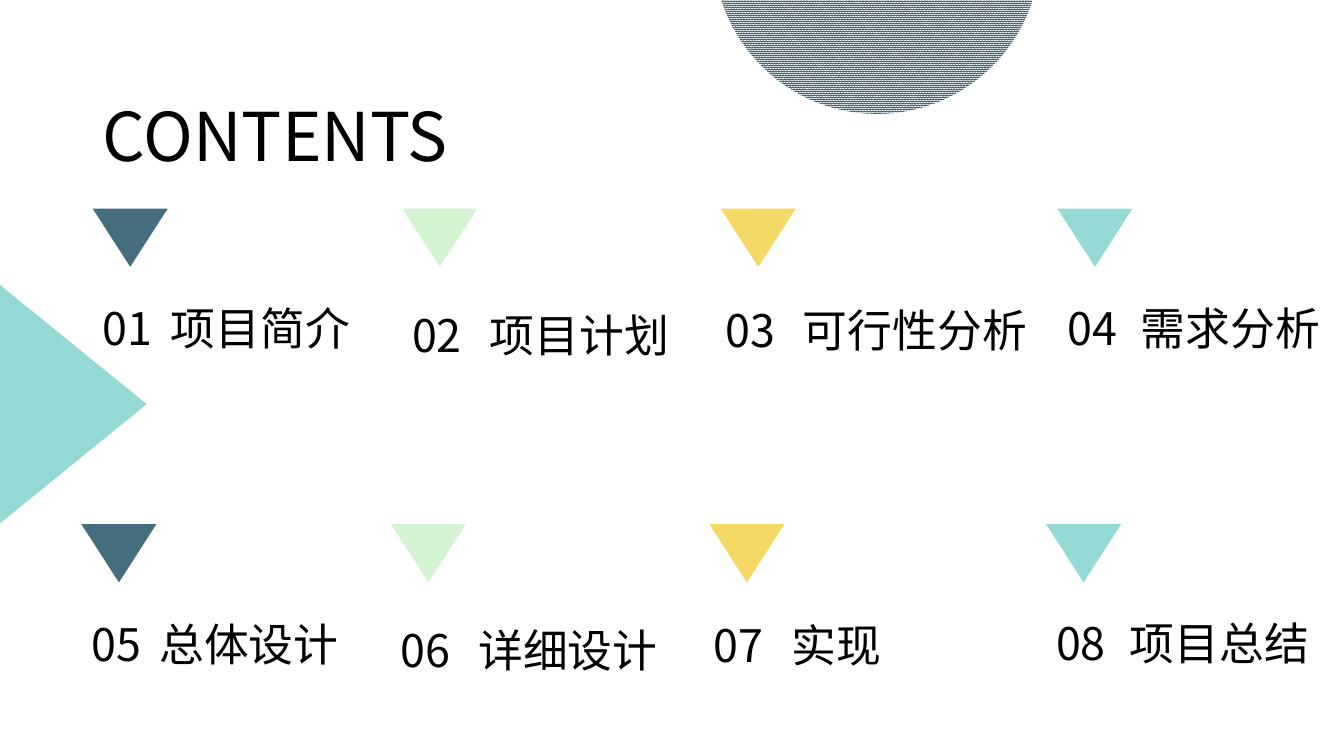
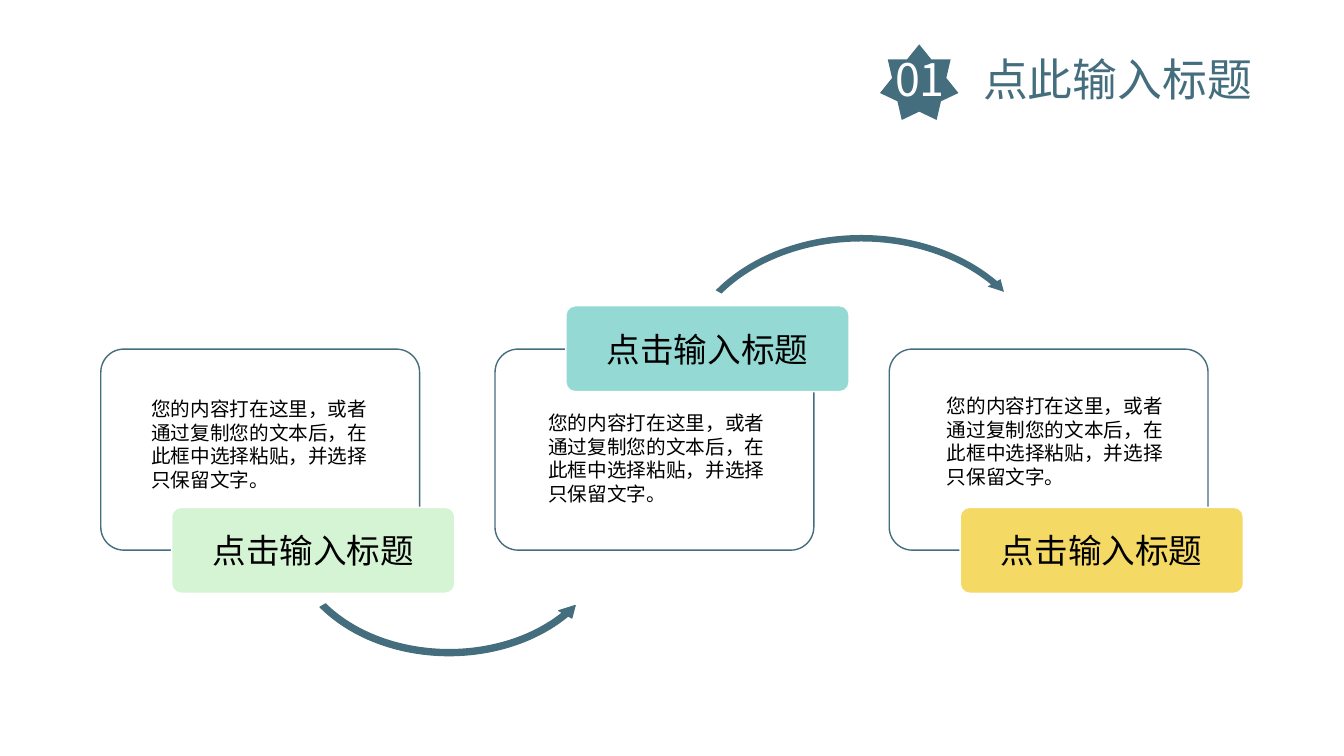
from lxml.etree import SubElement
from pptx import Presentation
from pptx.dml.color import RGBColor
from pptx.enum.dml import MSO_PATTERN
from pptx.enum.shapes import MSO_SHAPE
from pptx.enum.text import MSO_ANCHOR as Anchor, PP_ALIGN as Align
from pptx.oxml.ns import qn
from pptx.util import Pt

FONT = "Noto Sans CJK SC"
BLACK, WHITE = "000000", "FFFFFF"
SLATE, MINT, YELLOW, TEAL = "446E7E", "D5F4D3", "F4D964", "94D9D4"
TITLE_ONLY = 5

COLUMNS = [
    (66.2, SLATE, 0, 62.5, 48.6),
    (287.3, MINT, 0, 67, 55.4),
    (511, YELLOW, 3.8, 63.4, 55.4),
    (755.3, TEAL, 0, 62, 52.6),
]
TOPICS = [
    ["项目简介", "项目计划", "可行性分析", "需求分析"],
    ["总体设计", "详细设计", "实现", "项目总结"],
]
FIRST_ROW_TOP, ROW_STEP, ROW_SHIFT = 149, 225.4, -8.1

CARD_LEFT, CARD_TOP, CARD_STEP = 72, 249.4, 281.6
CARD_WIDTH, CARD_HEIGHT = 227.7, 143.6
BODY = "您的内容打在这里，或者通过复制您的文本后，在此框中选择粘贴，并选择只保留文字。"
CARDS = [
    (MINT, 113, 29, 30.7),
    (TEAL, -31, 31, 40.8),
    (YELLOW, 113, 34, 28.5),
]


def rgb(value):
    return RGBColor.from_string(value)


def points(*lengths):
    return [Pt(length) for length in lengths]


def write(frame, text, size, color=BLACK, align=Align.LEFT, anchor=Anchor.TOP):
    frame.word_wrap = True
    frame.vertical_anchor = anchor
    paragraph = frame.paragraphs[0]
    paragraph.text = text
    paragraph.alignment = align
    font = paragraph.font
    font.name, font.size, font.color.rgb = FONT, Pt(size), rgb(color)
    SubElement(font._rPr, qn("a:ea"), typeface=FONT)


def add_text(slide, box, text, size, color=BLACK):
    write(slide.shapes.add_textbox(*points(*box)).text_frame, text, size, color)


def add_figure(slide, kind, box, fill, line=None, weight=1, rotation=0, adjust=()):
    figure = slide.shapes.add_shape(kind, *points(*box))
    figure.shadow.inherit = False
    figure.rotation = rotation
    figure.fill.solid()
    figure.fill.fore_color.rgb = rgb(fill)
    if line:
        figure.line.color.rgb = rgb(line)
        figure.line.width = Pt(weight)
    else:
        figure.line.fill.background()
    for index, value in enumerate(adjust):
        figure.adjustments[index] = value
    return figure


def add_titled_slide(deck, box, text, size, color=BLACK):
    slide = deck.slides.add_slide(deck.slide_layouts[TITLE_ONLY])
    title = slide.shapes.title
    title.left, title.top, title.width, title.height = points(*box)
    write(title.text_frame, text, size, color)
    return slide


def add_topic(slide, left, top, number, topic, column):
    _, color, marker_dx, text_dy, topic_dx = column
    add_figure(slide, MSO_SHAPE.ISOSCELES_TRIANGLE,
               (left + marker_dx, top, 53.6, 41.6), color, rotation=180)
    add_text(slide, (left, top + text_dy, 60, 46), f"{number:02}", 32)
    add_text(slide, (left + topic_dx, top + text_dy, 181, 46), topic, 32)


def add_card(slide, left, top, label_color, label_dy, body_dx, body_dy):
    panel = add_figure(slide, MSO_SHAPE.ROUNDED_RECTANGLE,
                       (left, top, CARD_WIDTH, CARD_HEIGHT), WHITE, SLATE, adjust=[0.115])
    tint = panel.fill._xPr.find(qn("a:solidFill"))[0]
    SubElement(tint, qn("a:alpha"), val="90000")
    label = add_figure(slide, MSO_SHAPE.ROUNDED_RECTANGLE,
                       (left + 50.6, top + label_dy, 202.4, 61.4),
                       label_color, WHITE, adjust=[0.11])
    write(label.text_frame, "点击输入标题", 24, align=Align.CENTER, anchor=Anchor.MIDDLE)
    add_text(slide, (left + body_dx, top + body_dy, 177, 75), BODY, 14)


def build_contents(deck):
    slide = add_titled_slide(deck, (66.2, 63.4, 283, 65.5), "CONTENTS", 48)
    disc = add_figure(slide, MSO_SHAPE.OVAL, (509.8, -152, 233.3, 233.3), SLATE)
    disc.fill.patterned()
    disc.fill.pattern = MSO_PATTERN.PERCENT_90
    disc.fill.fore_color.rgb = rgb(SLATE)
    disc.fill.back_color.rgb = rgb(WHITE)
    add_figure(slide, MSO_SHAPE.ISOSCELES_TRIANGLE, (-33, 236.2, 170.6, 105), TEAL, rotation=90)
    for row, topics in enumerate(TOPICS):
        for index, (topic, column) in enumerate(zip(topics, COLUMNS)):
            add_topic(slide, column[0] + row * ROW_SHIFT, FIRST_ROW_TOP + row * ROW_STEP,
                      row * len(COLUMNS) + index + 1, topic, column)


def build_steps(deck):
    slide = add_titled_slide(deck, (695, 33.1, 215, 46), "点此输入标题", 32, SLATE)
    add_figure(slide, MSO_SHAPE.STAR_7_POINT, (628.6, 31.7, 56, 54), SLATE)
    add_text(slide, (632.2, 33.1, 60, 46), "01", 32, WHITE)
    for index, card in enumerate(CARDS):
        add_card(slide, CARD_LEFT + index * CARD_STEP, CARD_TOP, *card)
    add_figure(slide, MSO_SHAPE.LEFT_CIRCULAR_ARROW, (202.3, 290.9, 236.9, 180.7), SLATE,
               SLATE, 0.75, adjust=[0.025, 3.094, 20.849, 90.245, 0.03])
    add_figure(slide, MSO_SHAPE.CIRCULAR_ARROW, (482.4, 164.9, 265.7, 203), SLATE,
               adjust=[0.023, 2.738, 195.507, 125.755, 0.026])


def main():
    deck = Presentation()
    deck.slide_width, deck.slide_height = points(960, 540)
    build_contents(deck)
    build_steps(deck)
    deck.save("out.pptx")


if __name__ == "__main__":
    main()
